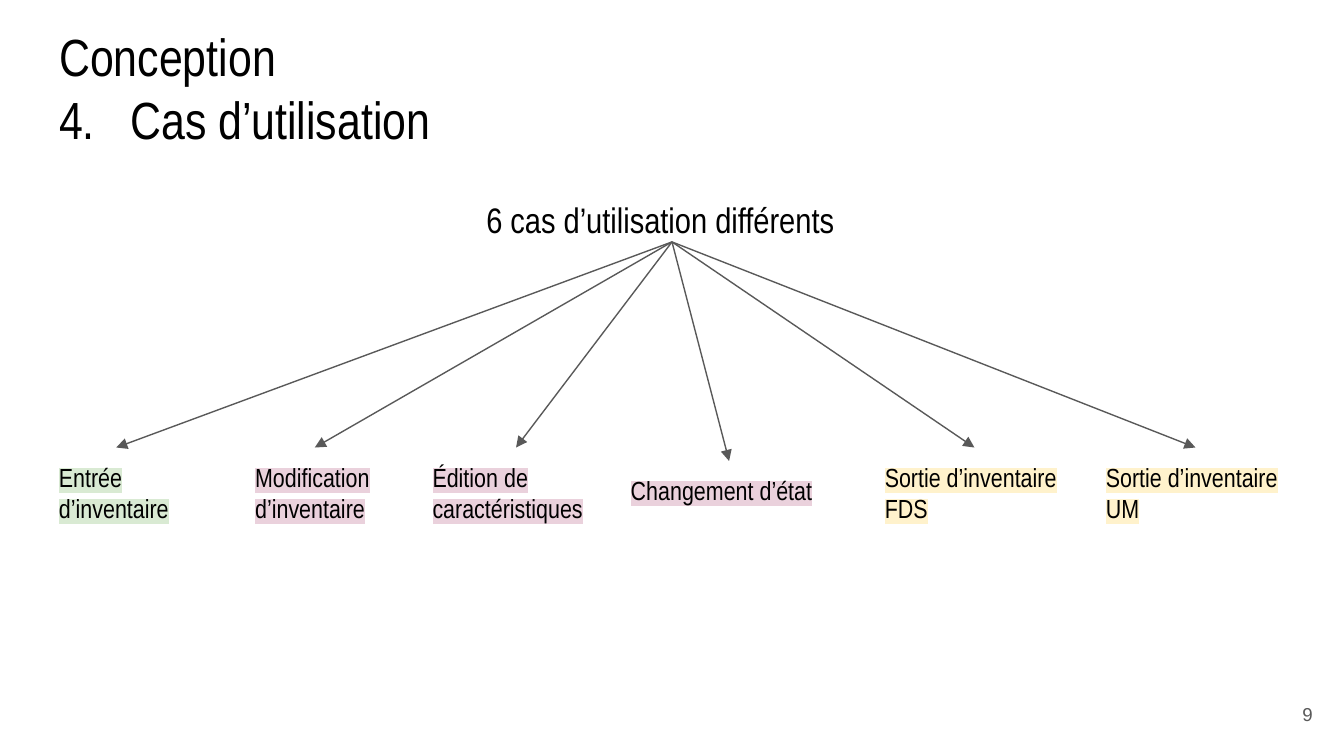
from lxml.etree import SubElement
from pptx import Presentation
from pptx.dml.color import RGBColor
from pptx.enum.shapes import MSO_CONNECTOR as CONN
from pptx.enum.text import MSO_ANCHOR as ANCHOR, MSO_AUTO_SIZE as AUTO, PP_ALIGN as ALIGN
from pptx.oxml import parse_xml
from pptx.oxml.ns import nsdecls, qn
from pptx.util import Emu, Pt

PX = 4572  # 200 px to the inch
BLACK, GREY = "000000", "595959"
GREEN, PINK, YELLOW = "D9EAD3", "EAD1DC", "FFF2CC"
BOTTOM, TOP = 2, 0


def px(n):
    return Emu(n * PX)


def rgb(value):
    return RGBColor.from_string(value)


class Deck:
    font = "Arial Narrow"
    inset = 20

    def __init__(self, width, height):
        self.prs = Presentation()
        self.prs.slide_width, self.prs.slide_height = px(width), px(height)

    def add_slide(self):
        self.s = self.prs.slides.add_slide(self.prs.slide_layouts[5])

    def frame(self, sp, anchor=ANCHOR.TOP):
        tf = sp.text_frame
        tf.word_wrap, tf.auto_size, tf.vertical_anchor = True, AUTO.NONE, anchor
        tf.margin_left = tf.margin_right = px(self.inset)
        tf.margin_top = tf.margin_bottom = px(self.inset)
        return tf

    def run(self, p, text, size, color=BLACK, font=None, highlight=None):
        r = p.add_run()
        r.text = text
        r.font.size, r.font.name = Pt(size), font or self.font
        r.font.color.rgb = rgb(color)
        if highlight:
            fill = r._r.get_or_add_rPr().find(qn("a:solidFill"))
            fill.addnext(parse_xml(
                f'<a:highlight {nsdecls("a")}><a:srgbClr val="{highlight}"/></a:highlight>'))

    def title(self, box, lines, size, hang):
        sp = self.s.shapes.title
        sp.left, sp.top, sp.width, sp.height = map(px, box)
        tf = self.frame(sp)
        for i, line in enumerate(lines):
            p = tf.add_paragraph() if i else tf.paragraphs[0]
            p.alignment = ALIGN.LEFT
            if "\t" in line:  # the number hangs before the text
                pPr = p._p.get_or_add_pPr()
                pPr.set("marL", str(px(hang)))
                pPr.set("indent", str(-px(hang)))
            self.run(p, line, size)

    def text(self, box, text, size, align=ALIGN.LEFT, anchor=ANCHOR.TOP, **style):
        sp = self.s.shapes.add_textbox(*map(px, box))
        p = self.frame(sp, anchor).paragraphs[0]
        p.alignment = align
        self.run(p, text, size, **style)
        return sp

    def arrow(self, start, end):
        c = self.s.shapes.add_connector(CONN.STRAIGHT, 0, 0, 0, 0)
        c.begin_connect(start, BOTTOM)
        c.end_connect(end, TOP)
        c.line.color.rgb, c.line.width = rgb(GREY), Pt(0.75)
        SubElement(c.line._get_or_add_ln(), qn("a:tailEnd"), type="triangle")
        SubElement(c._element.spPr, qn("a:effectLst"))


# left, width, lines of text, label, highlight
USE_CASES = [
    (68, 210, 2, "Entrée d’inventaire", GREEN),
    (360, 217, 2, "Modification d’inventaire", PINK),
    (624, 288, 2, "Édition de caractéristiques", PINK),
    (919, 332, 1, "Changement d’état", PINK),
    (1297, 306, 2, "Sortie d’inventaire FDS", YELLOW),
    (1626, 306, 2, "Sortie d’inventaire UM", YELLOW),
]
HEIGHTS = {1: 86, 2: 126}
ROW_MIDDLE = 729


def main():
    deck = Deck(2000, 1125)
    deck.add_slide()

    # Title and heading
    deck.title((68, 16, 1864, 126), ["Conception", "4.\tCas d’utilisation"], 28, hang=106)
    heading = deck.text((704, 275, 592, 85), "6 cas d’utilisation différents", 19)

    # Use cases, centred on one row, each with an arrow from the heading
    for left, width, lines, label, color in USE_CASES:
        height = HEIGHTS[lines]
        top = ROW_MIDDLE - height // 2
        case = deck.text((left, top, width, height), label, 14, highlight=color)
        deck.arrow(heading, case)

    # Slide number
    deck.text((1853, 1020, 120, 86), "9", 10, ALIGN.RIGHT, ANCHOR.MIDDLE,
              color=GREY, font="Arial")

    deck.prs.save("out.pptx")


if __name__ == "__main__":
    main()
